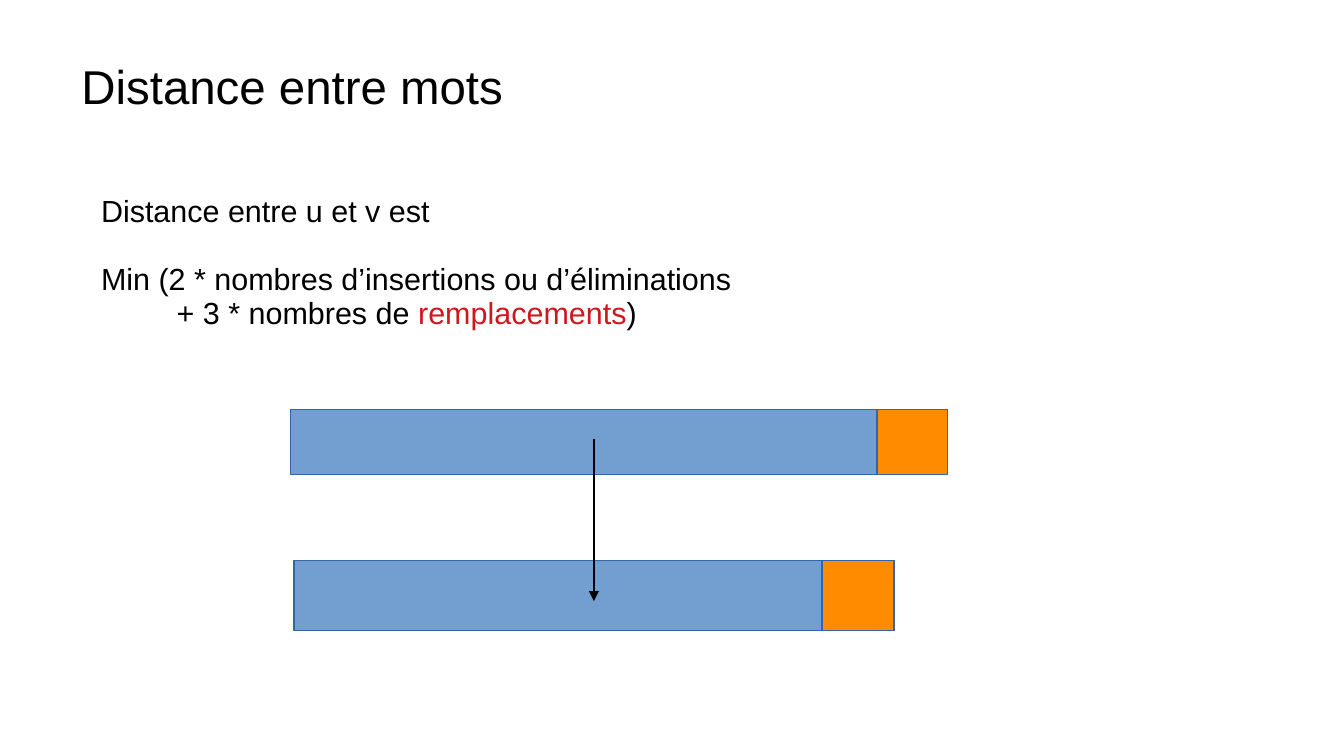
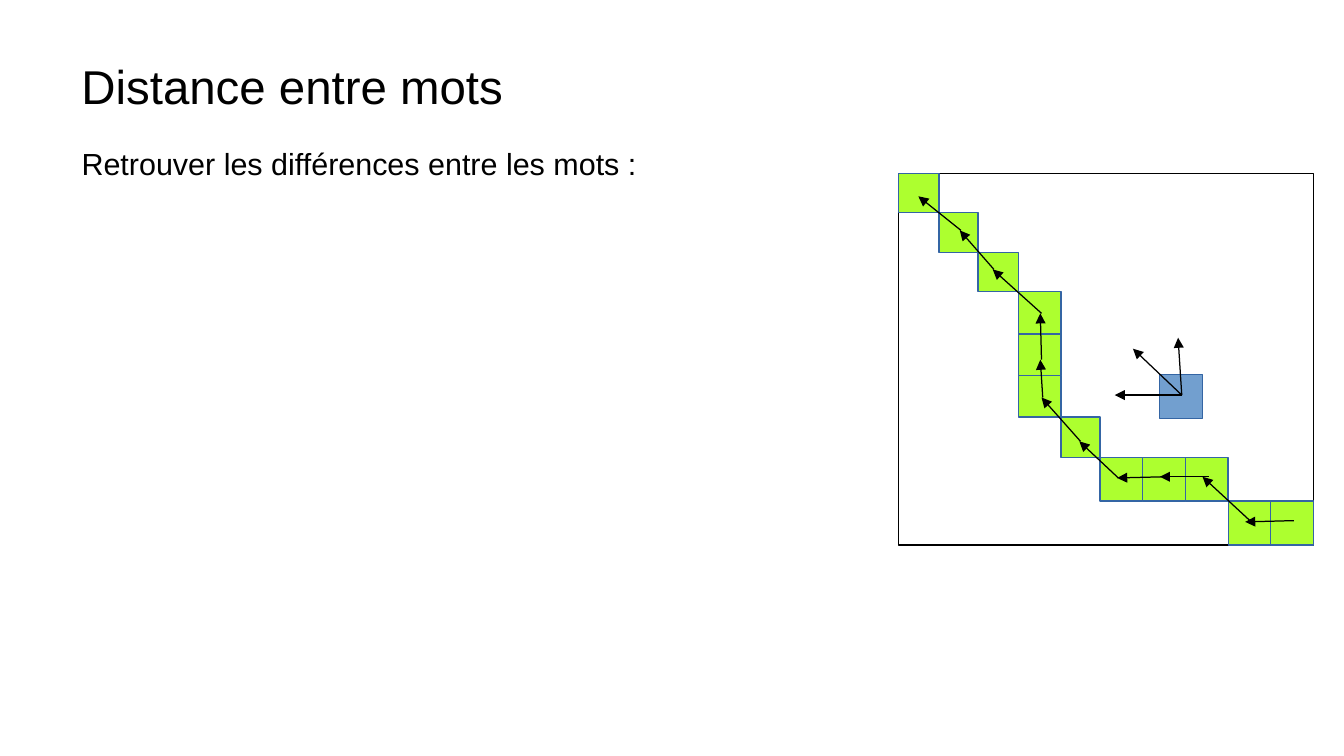
"""Two slides on the edit distance between words."""
from itertools import accumulate, pairwise

from lxml import etree
from pptx import Presentation
from pptx.dml.color import RGBColor
from pptx.enum.shapes import MSO_CONNECTOR, MSO_SHAPE
from pptx.oxml.ns import qn
from pptx.util import Inches, Pt

RECTANGLE = MSO_SHAPE.RECTANGLE
STRAIGHT = MSO_CONNECTOR.STRAIGHT
BLACK = RGBColor(0x00, 0x00, 0x00)
WHITE = RGBColor(0xFF, 0xFF, 0xFF)
RED = RGBColor(0xCE, 0x18, 0x1E)
BLUE = RGBColor(0x72, 0x9F, 0xCF)
DARK_BLUE = RGBColor(0x34, 0x65, 0xA4)
ORANGE = RGBColor(0xFF, 0x8C, 0x00)
GREEN = RGBColor(0xAD, 0xFF, 0x2F)
FONT = "Arial"
TITLE_SIZE, BODY_SIZE = 28, 18
LINE_WIDTH = Pt(0.75)
LINE_SPACING = 0.93
TITLE = "Distance entre mots"

deck = Presentation()
deck.slide_width, deck.slide_height = Inches(11.02), Inches(6.2)
blank = deck.slide_layouts[6]
definition, traceback = (deck.slides.add_slide(blank) for _ in range(2))

texts = [
    (slide, (0.57, 0.46, 8.8, 0.53), TITLE_SIZE, [(0, 0, [(TITLE, BLACK)])])
    for slide in (definition, traceback)
]
texts += [
    (definition, (0.73, 1.55, 7.02, 2.05), BODY_SIZE, [
        (0, 0, [("Distance entre u et v est", BLACK)]),
        (20, 0, [("Min (2 * nombres d’insertions ou d’éliminations", BLACK)]),
        (0, 0.62, [("+ 3 * nombres de ", BLACK), ("remplacements", RED), (")", BLACK)]),
    ]),
    (traceback, (0.57, 1.17, 7.22, 4.93), BODY_SIZE, [
        (0, 0, [("Retrouver les différences entre les mots :", BLACK)]),
    ]),
]
for slide, place, size, lines in texts:
    frame = slide.shapes.add_textbox(*map(Inches, place)).text_frame
    frame.word_wrap = True
    for index, (gap, indent, runs) in enumerate(lines):
        paragraph = frame.add_paragraph() if index else frame.paragraphs[0]
        paragraph.line_spacing = LINE_SPACING
        if gap:
            paragraph.space_before = Pt(gap)
        if indent:
            paragraph._p.get_or_add_pPr().set("marL", str(Inches(indent)))
        for words, color in runs:
            run = paragraph.add_run()
            run.text = words
            run.font.name = FONT
            run.font.size = Pt(size)
            run.font.color.rgb = color


def add_box(slide, left, top, width, height, fill, outline=DARK_BLUE):
    box = slide.shapes.add_shape(RECTANGLE, *map(Inches, (left, top, width, height)))
    box.shadow.inherit = False
    box.fill.solid()
    box.fill.fore_color.rgb = fill
    box.line.color.rgb = outline
    box.line.width = LINE_WIDTH


def add_arrow(slide, start, end):
    arrow = slide.shapes.add_connector(STRAIGHT, *map(Inches, (*start, *end)))
    arrow.line.color.rgb = BLACK
    arrow.line.width = LINE_WIDTH
    etree.SubElement(arrow.line._get_or_add_ln(), qn("a:tailEnd"), type="triangle")
    etree.SubElement(arrow._element.spPr, qn("a:effectLst"))


words_compared = [(2.38, 3.36, 5.39, 0.53, 0.58), (2.41, 4.6, 4.92, 0.57, 0.59)]
for left, top, width, height, last_letter in words_compared:
    add_box(definition, left, top, width, height, BLUE)
    add_box(definition, left + width - last_letter, top, last_letter, height, ORANGE)
add_arrow(definition, (4.87, 3.6), (4.87, 4.93))

column_widths = [0.33, 0.32, 0.33, 0.35, 0.32] + [0.35] * 5
row_heights = [0.32, 0.33, 0.32, 0.35, 0.34, 0.34, 0.33, 0.36, 0.36]
columns = list(accumulate(column_widths, initial=7.37))
rows = list(accumulate(row_heights, initial=1.42))
add_box(traceback, columns[0], rows[0], sum(column_widths), sum(row_heights), WHITE, BLACK)

current_cell = (9.69, 3.24)
add_box(traceback, 9.51, 3.07, 0.35, 0.36, BLUE)
for neighbour in [(9.14, 3.24), (9.29, 2.86), (9.66, 2.77)]:
    add_arrow(traceback, current_cell, neighbour)

route = [
    (9, 8, 10.61, 4.27), (8, 8, 10.26, 4.28), (7, 7, 9.91, 3.91),
    (6, 7, 9.56, 3.91), (5, 7, 9.17, 3.92), (4, 6, 8.86, 3.62),
    (3, 5, 8.55, 3.26), (3, 4, 8.54, 2.95), (3, 3, 8.54, 2.57),
    (2, 2, 8.15, 2.21), (1, 1, 7.88, 1.89), (0, 0, 7.54, 1.61),
]
for column, row, _, _ in route:
    add_box(traceback, columns[column], rows[row], column_widths[column], row_heights[row], GREEN)
for (_, _, *start), (column, _, end_x, end_y) in pairwise(route):
    overshoot = 0.05 if column > 5 else 0.01
    add_arrow(traceback, start, (end_x - overshoot, end_y))

deck.save("out.pptx")
